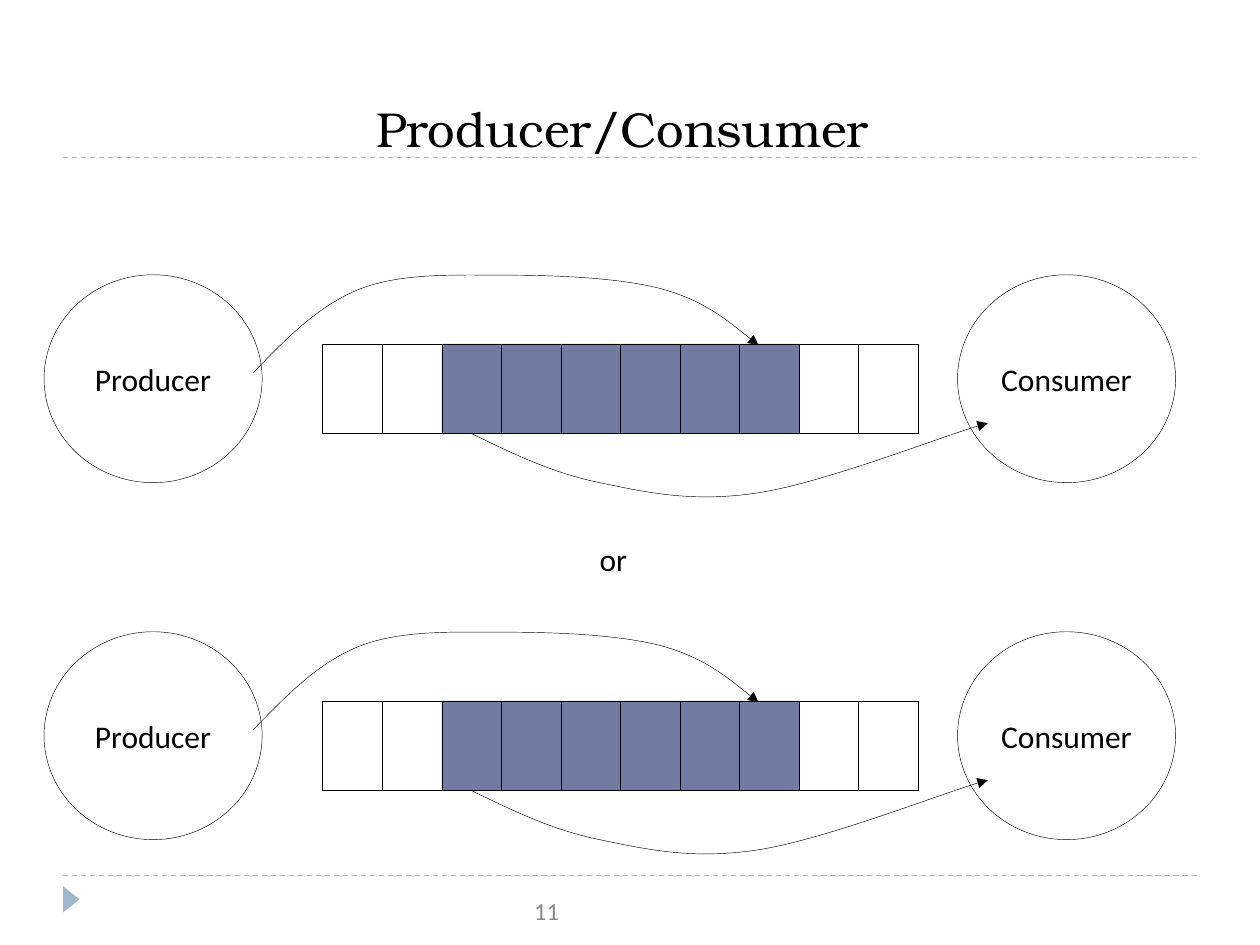
from lxml import etree
from pptx import Presentation
from pptx import util as u
from pptx.dml.color import RGBColor
from pptx.enum import dml, shapes, text
from pptx.oxml.ns import qn

Pt = u.Pt
HUE = {"ink": "000000", "full": "727CA3", "trim": "9FB8CD", "page": "898989"}
SANS, SERIF = "Calibri", "TeX Gyre Bonum"

TITLE = "Producer/Consumer "
ROLES = [("Producer", 25.2), ("Consumer", 547.2)]
CELLS = [0, 0, 1, 1, 1, 1, 1, 1, 0, 0]
ROWS = [157, 361]
RULES = [90, 500.4]
PUT = [(144.7, 56), (163.4, 36.7), (181.8, 17.6), (205.6, 8.2),
       (229.7, -1.2), (260.6, 0.3), (289.1, 0.3),
       (317.5, 0.3), (354.2, 1.7), (378.4, 8.2),
       (402.5, 15), (417.6, 27.6), (433.4, 40.4)]
GET = [(269.3, 90.7), (292.3, 101.8), (315.4, 113.3), (342.7, 118.8),
       (370.1, 124.6), (396.7, 130.3), (433.4, 124.6),
       (470.9, 118.8), (543.6, 90.2), (564.5, 84.8)]

deck = Presentation()
deck.slide_width, deck.slide_height = Pt(720), Pt(540)
slide = deck.slides.add_slide(deck.slide_layouts[6])
tree = slide.shapes


def tone(name):
    return RGBColor.from_string(HUE[name])


def write(shape, words, size, hue="ink", font=SANS, pad=(7.2, 3.6),
          mid=True, wrap=False, anchor=text.MSO_ANCHOR.TOP):
    frame = shape.text_frame
    frame.word_wrap = wrap
    frame.vertical_anchor = anchor
    frame.margin_left = frame.margin_right = Pt(pad[0])
    frame.margin_top = frame.margin_bottom = Pt(pad[1])
    para = frame.paragraphs[0]
    para.alignment = text.PP_ALIGN.CENTER if mid else text.PP_ALIGN.LEFT
    run = para.add_run()
    run.text = words
    run.font.size, run.font.name = Pt(size), font
    run.font.color.rgb = tone(hue)


def label(box, *args, **opts):
    write(tree.add_textbox(*map(Pt, box)), *args, **opts)


def paint(shape, fill=None, line="ink"):
    shape.shadow.inherit = False
    if fill:
        shape.fill.solid()
        shape.fill.fore_color.rgb = tone(fill)
    else:
        shape.fill.background()
    if line:
        shape.line.color.rgb = tone(line)
        shape.line.width = Pt(0.25)
    else:
        shape.line.fill.background()


def draw(kind, box, fill=None, line="ink"):
    shape = tree.add_shape(kind, *map(Pt, box))
    paint(shape, fill, line)
    return shape


def curve(knots, top):
    dots = [(Pt(x), Pt(top + y)) for x, y in knots]
    pen = tree.build_freeform(*dots[0])
    pen.add_line_segments(dots[1:], close=False)
    shape = pen.convert_to_shape()
    paint(shape)
    legs = list(shape.element.iter(qn("a:lnTo")))
    for i in range(0, len(legs), 3):
        bend = etree.SubElement(legs[i].getparent(), qn("a:cubicBezTo"))
        for leg in legs[i:i + 3]:
            bend.append(leg[0])
            leg.getparent().remove(leg)
    etree.SubElement(shape.line._get_or_add_ln(), qn("a:tailEnd"), type="triangle")


def lane(top):
    for name, left in ROLES:
        oval = draw(shapes.MSO_SHAPE.OVAL, (left, top, 124.6, 118.8))
        write(oval, name, 18, anchor=text.MSO_ANCHOR.MIDDLE)
    curve(PUT, top)
    for i, used in enumerate(CELLS):
        box = (184.4 + 34.03 * i, top + 39.5, 34.03, 51.2)
        draw(shapes.MSO_SHAPE.RECTANGLE, box, "full" if used else None)
    curve(GET, top)


for y in RULES:
    rule = tree.add_connector(shapes.MSO_CONNECTOR.STRAIGHT, Pt(36), Pt(y), Pt(684), Pt(y))
    rule.line.color.rgb = tone("trim")
    rule.line.width = Pt(0.75)
    rule.line.dash_style = dml.MSO_LINE.DASH
    etree.SubElement(rule.element.spPr, qn("a:effectLst"))

mark = draw(shapes.MSO_SHAPE.ISOSCELES_TRIANGLE, (33.2, 509.2, 15, 9.4), "trim", None)
mark.rotation = 90
label((301.7, 508.3, 74.9, 24.5), "11", 14, "page", pad=(3.6, 3.6), mid=False, wrap=True)
for top in ROWS:
    lane(top)
label((335.5, 305.3, 30.2, 29), "or", 18, mid=False)
label((36, 54.7, 648, 35.3), TITLE, 28, font=SERIF, pad=(0, 0), wrap=True,
      anchor=text.MSO_ANCHOR.BOTTOM)

deck.save("out.pptx")
